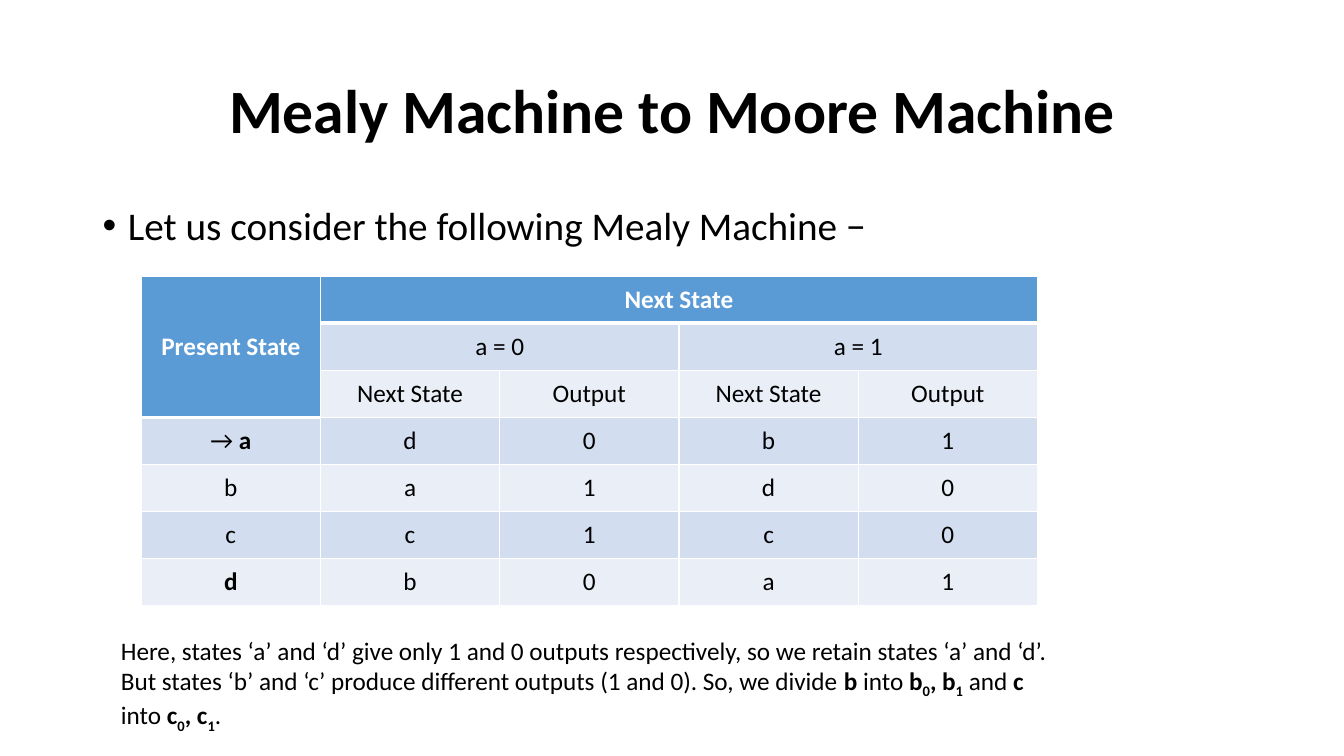
from lxml.etree import SubElement
from pptx import Presentation
from pptx.dml.color import RGBColor
from pptx.enum.text import MSO_ANCHOR, MSO_AUTO_SIZE, PP_ALIGN
from pptx.oxml.ns import qn
from pptx.util import Inches, Pt

BLACK, WHITE = "000000", "FFFFFF"
HEADER_FILL, DARK_BAND, LIGHT_BAND = "5B9BD5", "D2DEEF", "EAEFF7"


def write(paragraph, text, size=18, color=BLACK, bold=False, baseline=0):
    run = paragraph.add_run()
    run.text = text
    run.font.name = "Calibri"
    run.font.size = Pt(size)
    run.font.bold = bold
    run.font.color.rgb = RGBColor.from_string(color)
    if baseline:
        run.font._element.set("baseline", str(baseline * 1000))


def add_border(cell, side, points):
    line = SubElement(cell._tc.get_or_add_tcPr(), qn(f"a:ln{side}"), w=str(Pt(points)))
    SubElement(SubElement(line, qn("a:solidFill")), qn("a:srgbClr"), val=WHITE)


prs = Presentation()
prs.slide_width, prs.slide_height = Inches(13.33), Inches(7.5)
slide = prs.slides.add_slide(prs.slide_layouts[5])

# Title
title = slide.shapes.title
title.left, title.top = Inches(0.92), Inches(0.4)
title.width, title.height = Inches(11.5), Inches(1.45)
title.text_frame.auto_size = MSO_AUTO_SIZE.NONE
title.text_frame.vertical_anchor = MSO_ANCHOR.MIDDLE
heading = title.text_frame.paragraphs[0]
heading.alignment = PP_ALIGN.CENTER
heading.line_spacing = 0.9
write(heading, "Mealy Machine to Moore Machine", size=44, bold=True)

# Bulleted introduction
intro = slide.shapes.add_textbox(Inches(0.92), Inches(2), Inches(11.5), Inches(4.76))
intro.text_frame.word_wrap = True
bullet = intro.text_frame.paragraphs[0]
bullet.line_spacing = 0.9
bullet_format = bullet._p.get_or_add_pPr()
bullet_format.set("marL", str(Inches(0.25)))
bullet_format.set("indent", str(-Inches(0.25)))
SubElement(bullet_format, qn("a:buFont"), typeface="Arial")
SubElement(bullet_format, qn("a:buChar"), char="•")
write(bullet, "Let us consider the following Mealy Machine −", size=28)

# Explanation below the table: text, bold, baseline shift in percent
explanation = [
    ("Here, states ‘a’ and ‘d’ give only 1 and 0 outputs respectively, so we retain "
     "states ‘a’ and ‘d’. But states ‘b’ and ‘c’ produce different outputs (1 and 0). "
     "So, we divide ", False, 0),
    ("b", True, 0), (" into ", False, 0),
    ("b", True, 0), ("0", True, -25), (", b", True, 0), ("1", True, -25),
    (" and ", False, 0), ("c", True, 0), (" into ", False, 0),
    ("c", True, 0), ("0", True, -25), (", c", True, 0), ("1", True, -25),
    (".", False, 0),
]
note = slide.shapes.add_textbox(Inches(1.1), Inches(6.25), Inches(9.48), Inches(1.01))
note.text_frame.word_wrap = True
note.text_frame.auto_size = MSO_AUTO_SIZE.SHAPE_TO_FIT_TEXT
for text, bold, baseline in explanation:
    write(note.text_frame.paragraphs[0], text, bold=bold, baseline=baseline)

# State table
state_rows = [
    ["Present State", "Next State", "", "", ""],
    ["", "a = 0", "", "a = 1", ""],
    ["", "Next State", "Output", "Next State", "Output"],
    ["a", "d", "0", "b", "1"],
    ["b", "a", "1", "d", "0"],
    ["c", "c", "1", "c", "0"],
    ["d", "b", "0", "a", "1"],
]
bold_states = [(3, 0), (6, 0)]
start_state = (3, 0)
states = slide.shapes.add_table(
    len(state_rows), 5, Inches(1.4), Inches(2.74), Inches(8.89), Inches(3.27)).table
states.first_row = states.horz_banding = False

for r, values in enumerate(state_rows):
    for c, text in enumerate(values):
        cell = states.cell(r, c)
        is_header = r == 0 or (c == 0 and r < 3)
        below_header = r == (3 if c == 0 else 1)
        ends_header = r == 0 or (c == 0 and r == 2)

        # Borders come before the fill in the cell properties
        add_border(cell, "L", 1)
        add_border(cell, "R", 1)
        add_border(cell, "T", 3 if below_header else 1)
        add_border(cell, "B", 3 if ends_header else 1)
        band = DARK_BAND if r % 2 else LIGHT_BAND
        cell.fill.solid()
        cell.fill.fore_color.rgb = RGBColor.from_string(HEADER_FILL if is_header else band)

        cell.margin_left = cell.margin_right = Inches(0.08)
        cell.margin_top = cell.margin_bottom = Inches(0.08)
        label = cell.text_frame.paragraphs[0]
        label.alignment = PP_ALIGN.CENTER
        if (r, c) == start_state:
            write(label, "→ ")
        if text:
            write(label, text, color=WHITE if is_header else BLACK,
                  bold=is_header or (r, c) in bold_states)

# Spanning header cells
for first, last in [((0, 0), (2, 0)), ((0, 1), (0, 4)), ((1, 1), (1, 2)), ((1, 3), (1, 4))]:
    states.cell(*first).merge(states.cell(*last))
states.cell(0, 0).vertical_anchor = MSO_ANCHOR.MIDDLE

prs.save("out.pptx")
